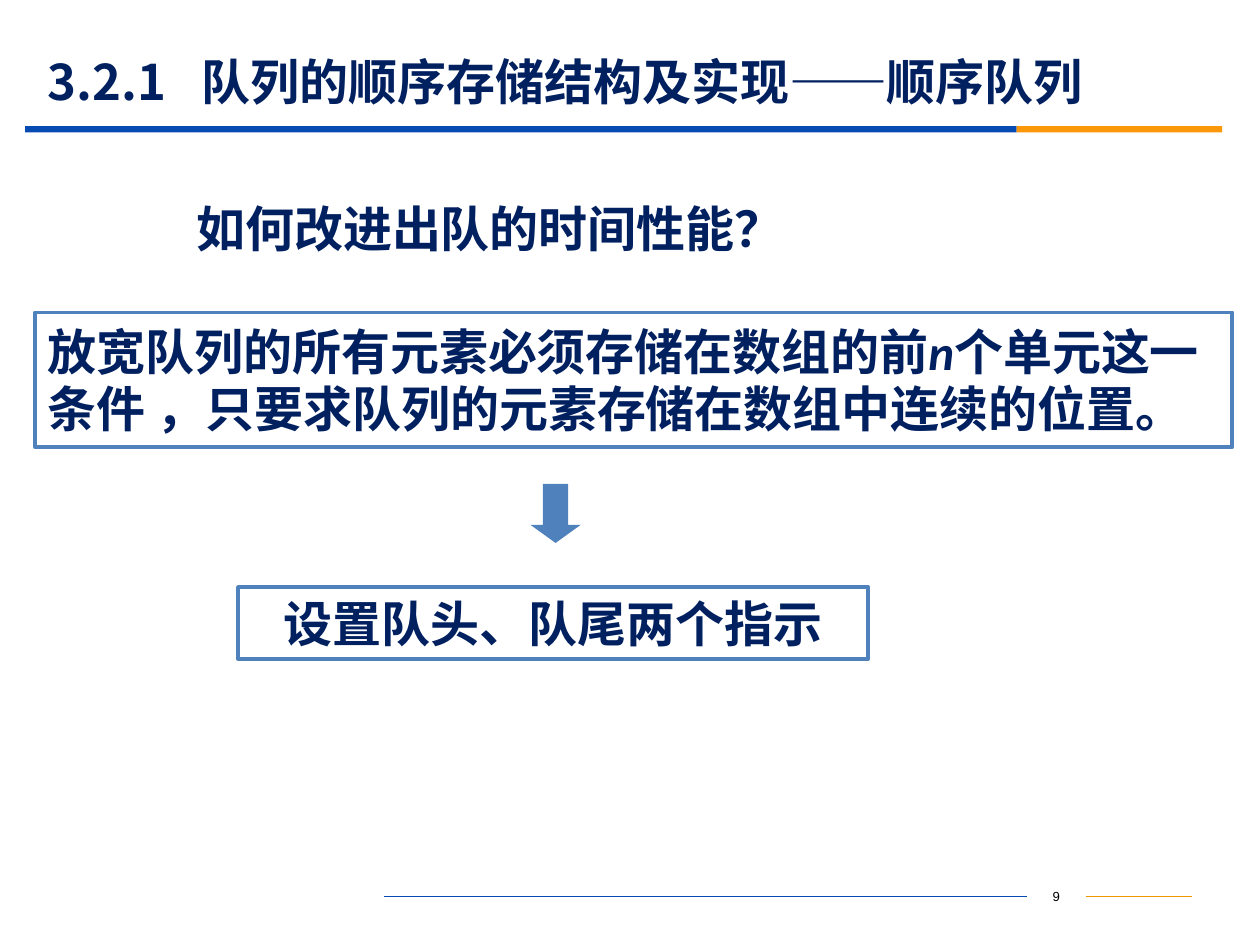
import pptx
import pptx.dml.color
import pptx.enum.shapes
import pptx.enum.text
import pptx.oxml.ns
import pptx.util
from lxml import etree

Pt = pptx.util.Pt
SHAPES = pptx.enum.shapes.MSO_SHAPE
ALIGN = pptx.enum.text.PP_ALIGN
ANCHOR = pptx.enum.text.MSO_ANCHOR
HEADING_FONT = "Noto Sans CJK SC"
NAVY, BLUE, ORANGE, STEEL = "002060", "064BB2", "FB9708", "4F81BD"


def colour(value):
    return pptx.dml.color.RGBColor.from_string(value)


def add_child(parent, tag, **attributes):
    return etree.SubElement(parent, pptx.oxml.ns.qn(tag), attributes)


def style_paragraph(para, align=ALIGN.LEFT):
    para.alignment = align
    para.line_spacing = Pt(33)
    para.space_before = Pt(0)
    para.font.size = Pt(28)
    para.font.bold = True
    para.font.color.rgb = colour(NAVY)
    para.font.name = HEADING_FONT
    for defaults in para._p.xpath("./a:pPr/a:defRPr"):
        add_child(defaults, "a:ea", typeface=HEADING_FONT)


def place_frame(shape):
    frame = shape.text_frame
    frame.word_wrap = True
    frame.auto_size = pptx.enum.text.MSO_AUTO_SIZE.NONE
    frame.vertical_anchor = ANCHOR.MIDDLE
    return frame


def add_plain_shape(page, kind, box, fill=None, line=None):
    shape = page.shapes.add_shape(kind, *map(Pt, box))
    shape.shadow.inherit = False
    if fill:
        shape.fill.solid()
        shape.fill.fore_color.rgb = colour(fill)
    else:
        shape.fill.background()
    if line:
        shape.line.color.rgb = colour(line)
        shape.line.width = Pt(2.25)
    else:
        shape.line.fill.background()
    return shape


def add_title(page, box):
    title = page.shapes.title
    title.left, title.top, title.width, title.height = map(Pt, box)
    para = place_frame(title).paragraphs[0]
    para.add_run().text = "3.2.1\t队列的顺序存储结构及实现——顺序队列"
    tabs = add_child(para._p.get_or_add_pPr(), "a:tabLst")
    add_child(tabs, "a:tab", pos=str(Pt(88)), algn="l")
    style_paragraph(para)


def add_title_rule(page, box):
    left, top, width, height = box
    blue_width = 566.5
    add_plain_shape(page, SHAPES.RECTANGLE, (left, top, blue_width, height), BLUE)
    add_plain_shape(page, SHAPES.RECTANGLE,
                    (left + blue_width, top, width - blue_width, height), ORANGE)


def add_question(page, box):
    para = place_frame(page.shapes.add_textbox(*map(Pt, box))).paragraphs[0]
    para.add_run().text = "如何改进出队的时间性能？"
    style_paragraph(para)


def add_framed_text(page, box, parts, align=ALIGN.LEFT):
    frame = place_frame(add_plain_shape(page, SHAPES.RECTANGLE, box, line=STEEL))
    para = frame.paragraphs[0]
    for text in parts:
        span = para.add_run()
        span.text = text
        if text == "n":
            span.font.name = "Calibri"
            span.font.italic = True
    style_paragraph(para, align)


def add_down_arrow(page, box):
    arrow = add_plain_shape(page, SHAPES.DOWN_ARROW, box, STEEL)
    arrow.adjustments[0] = 0.5
    arrow.adjustments[1] = 0.36


def add_footer(page, box):
    left, top, width, height = box
    middle = top + height / 2
    number_left, number_width = 586.8, 33.8
    number_right = number_left + number_width
    for start, end, line in ((left, number_left, BLUE),
                             (number_right, left + width, "F19500")):
        rule = page.shapes.add_connector(pptx.enum.shapes.MSO_CONNECTOR.STRAIGHT,
                                         Pt(start), Pt(middle), Pt(end), Pt(middle))
        rule.line.color.rgb = colour(line)
        rule.line.width = Pt(0.75)
        add_child(rule._element.spPr, "a:effectLst")
    number = page.shapes.add_textbox(Pt(number_left), Pt(top), Pt(number_width), Pt(height))
    para = place_frame(number).paragraphs[0]
    para.text = "9"
    para.alignment = ALIGN.CENTER
    para.font.size = Pt(7.5)
    para.font.name = "Arial"
    para.font.color.rgb = colour("000000")


def main():
    deck = pptx.Presentation()
    deck.slide_width, deck.slide_height = Pt(720), Pt(540)
    page = deck.slides.add_slide(deck.slide_layouts[5])
    add_footer(page, (219.6, 503.3, 461.5, 18))
    add_title_rule(page, (14.4, 72, 684, 3.6))
    add_title(page, (20.2, 31, 648, 31))
    add_question(page, (105.1, 110.2, 496.1, 41))
    add_framed_text(page, (20.2, 178.6, 684, 77), (
        "放宽队列的所有元素必须存储在数组的前", "n",
        "个单元这一条件 ，只要求队列的元素存储在数组中连续的位置。"))
    add_framed_text(page, (136.1, 335.5, 360, 41), ("设置队头、队尾两个指示",), ALIGN.CENTER)
    add_down_arrow(page, (303.1, 276.5, 28.8, 33.8))
    deck.save("out.pptx")


if __name__ == "__main__":
    main()
